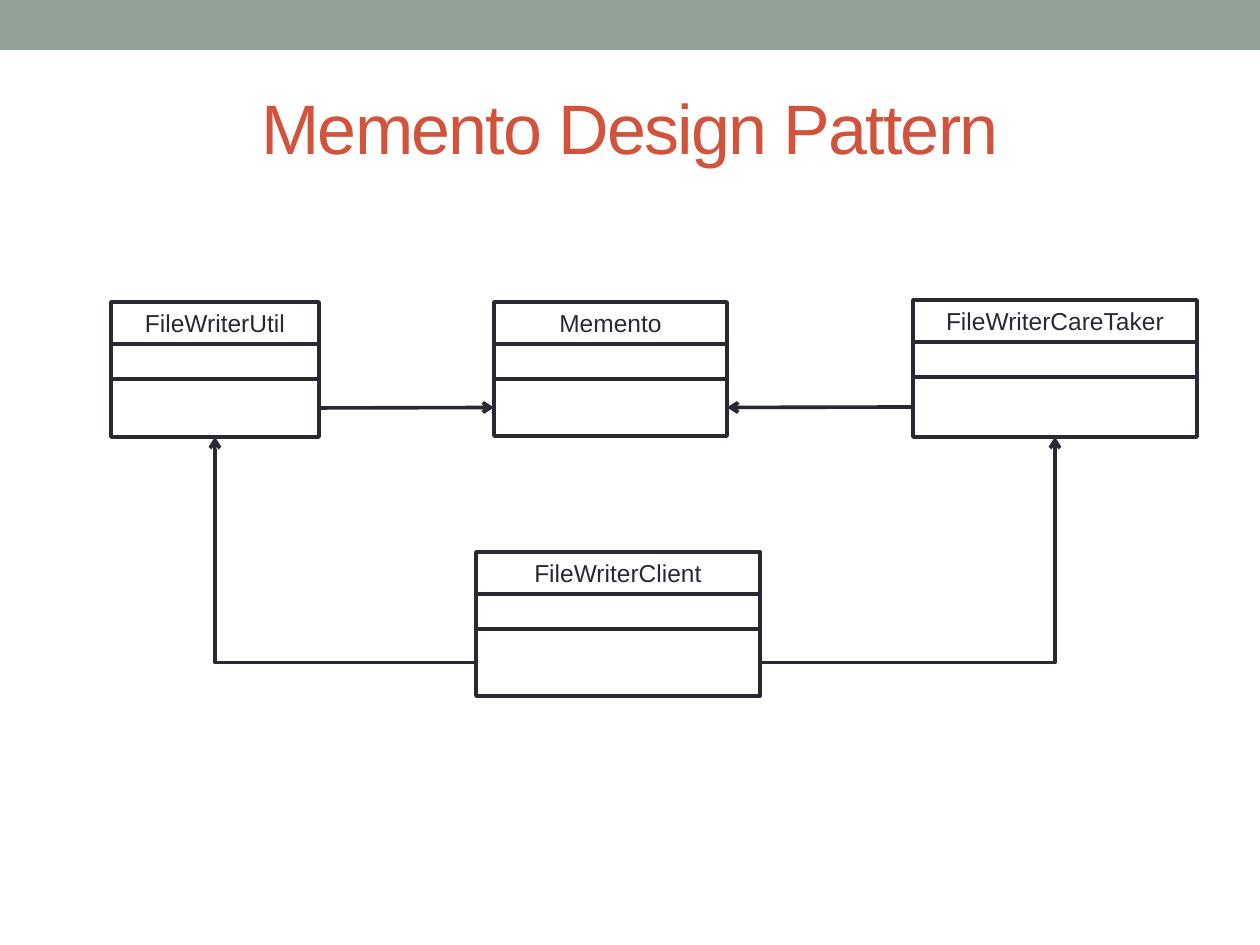
import pptx
import pptx.util
import pptx.dml.color
import pptx.enum.shapes
import pptx.enum.text
import pptx.oxml
import pptx.oxml.ns

PIXEL = 914400 // 126
LINE_WIDTH = pptx.util.Pt(2.08)
HEADER_HEIGHT, ATTRIBUTES_HEIGHT = 42, 35
TOP, LEFT, BOTTOM, RIGHT = range(4)
COLORS = {
    name: pptx.dml.color.RGBColor.from_string(value)
    for name, value in {
        "band": "93A299", "title": "D2533C", "ink": "292934", "paper": "FFFFFF",
    }.items()
}


def add_box(left, top, width, height, fill, line=None):
    """Add a flat rectangle given in pixels."""
    shape = slide.shapes.add_shape(
        pptx.enum.shapes.MSO_SHAPE.RECTANGLE,
        *(value * PIXEL for value in (left, top, width, height)))
    shape.shadow.inherit = False
    shape.fill.solid()
    shape.fill.fore_color.rgb = COLORS[fill]
    if line:
        shape.line.color.rgb = COLORS[line]
        shape.line.width = LINE_WIDTH
    else:
        shape.line.fill.background()
    return shape


def write(shape, text, size, color):
    """Write one centred line of text in a shape."""
    frame = shape.text_frame
    frame.word_wrap = True
    frame.vertical_anchor = pptx.enum.text.MSO_ANCHOR.MIDDLE
    paragraph = frame.paragraphs[0]
    paragraph.text = text
    paragraph.alignment = pptx.enum.text.PP_ALIGN.CENTER
    paragraph.font.name = "Arial"
    paragraph.font.size = pptx.util.Pt(size)
    paragraph.font.color.rgb = COLORS[color]
    return paragraph


presentation = pptx.Presentation()
presentation.slide_width = 1260 * PIXEL
presentation.slide_height = 945 * PIXEL
slide = presentation.slides.add_slide(presentation.slide_layouts[6])

add_box(0, 0, 1260, 50, "band")
title = slide.shapes.add_textbox(*(value * PIXEL for value in (63, 50, 1134, 154)))
title_paragraph = write(title, "Memento Design Pattern", 40, "title")
title_paragraph.runs[0].font._element.set("spc", "-100")

# Each class: name, left, top, width, height of the operations compartment
classes = [
    ("FileWriterUtil", 111, 302, 208, 58),
    ("Memento", 494, 302, 233, 57),
    ("FileWriterCareTaker", 913, 300, 284, 60),
    ("FileWriterClient", 476, 552, 284, 67),
]
operations = {}
for name, left, top, width, operations_height in classes:
    for height in (HEADER_HEIGHT, ATTRIBUTES_HEIGHT, operations_height):
        box = add_box(left, top, width, height, "paper", "ink")
        if height == HEADER_HEIGHT:
            write(box, name, 14, "ink")
        top += height
    operations[name] = box

# Each arrow: source class and side, target class and side
arrows = [
    ("FileWriterCareTaker", LEFT, "Memento", RIGHT),
    ("FileWriterUtil", RIGHT, "Memento", LEFT),
    ("FileWriterClient", RIGHT, "FileWriterCareTaker", BOTTOM),
    ("FileWriterClient", LEFT, "FileWriterUtil", BOTTOM),
]
for source, source_side, target, target_side in arrows:
    bent = target_side == BOTTOM
    kinds = pptx.enum.shapes.MSO_CONNECTOR
    connector = slide.shapes.add_connector(
        kinds.ELBOW if bent else kinds.STRAIGHT, 0, 0, 0, 0)
    connector.begin_connect(operations[source], source_side)
    connector.end_connect(operations[target], target_side)
    connector.line.color.rgb = COLORS["ink"]
    connector.line.width = LINE_WIDTH
    properties = connector._element.spPr
    if bent:
        geometry = properties.find(pptx.oxml.ns.qn("a:prstGeom"))
        geometry.set("prst", "bentConnector2")
    namespace = pptx.oxml.ns.nsdecls("a")
    connector.line._get_or_add_ln().append(
        pptx.oxml.parse_xml(f'<a:tailEnd {namespace} type="arrow"/>'))
    properties.append(pptx.oxml.parse_xml(f"<a:effectLst {namespace}/>"))

presentation.save("out.pptx")
